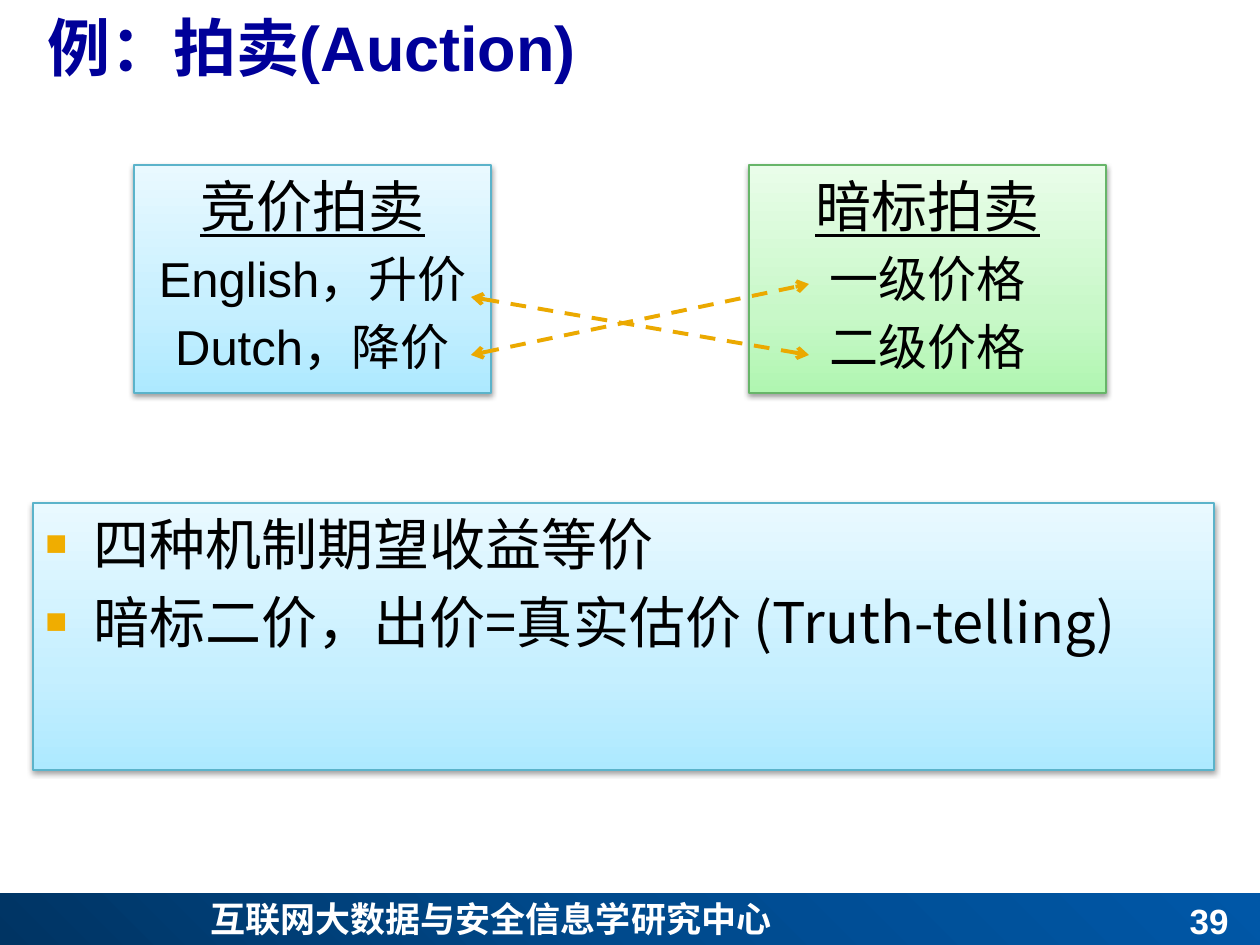
from lxml import etree
from pptx import Presentation
from pptx.dml.color import RGBColor
from pptx.enum.dml import MSO_LINE
from pptx.enum.shapes import MSO_CONNECTOR, MSO_SHAPE
from pptx.enum.text import MSO_ANCHOR, PP_ALIGN
from pptx.oxml import parse_xml
from pptx.oxml.ns import nsdecls, qn
from pptx.util import Emu, Pt

RECTANGLE = MSO_SHAPE.RECTANGLE
STRAIGHT = MSO_CONNECTOR.STRAIGHT
DASH = MSO_LINE.DASH
TOP, MIDDLE, BOTTOM = MSO_ANCHOR.TOP, MSO_ANCHOR.MIDDLE, MSO_ANCHOR.BOTTOM
LEFT, CENTER, RIGHT = PP_ALIGN.LEFT, PP_ALIGN.CENTER, PP_ALIGN.RIGHT
NAMESPACE = nsdecls("a")
CHINESE_FONT = "Noto Sans CJK SC"


def px(length):
    return Emu(round(length * 914400 / 126))


def color(hex_value):
    return RGBColor.from_string(hex_value)


presentation = Presentation()
presentation.slide_width, presentation.slide_height = px(1260), px(945)
slide = presentation.slides.add_slide(presentation.slide_layouts[5])
shapes = slide.shapes

title = shapes.title
title.left, title.top, title.width, title.height = px(35), px(-4), px(1225), px(100)
title.text_frame.text = "例：拍卖(Auction)"
title.text_frame.vertical_anchor = MIDDLE
title.text_frame.paragraphs[0].alignment = LEFT
title_font = title.text_frame.paragraphs[0].runs[0].font
title_font.name, title_font.size, title_font.bold = "Arial", Pt(36), True
title_font.color.rgb = color("000099")

upward = '<a:lin ang="16200000" scaled="0"/>'
from_corner = '<a:path path="circle"><a:fillToRect t="100000" r="100000"/></a:path>'
blue_stops = [(0, "ADE9FF"), (35, "C5EFFF"), (100, "E9F9FF")]
green_stops = [(0, "B0F6B1"), (35, "C8F8C8"), (100, "E9FDE9")]
footer_stops = [(0, "003463"), (50, "004A8D"), (100, "0057A7")]

panels = [
    (0, 893, 1260, 55, footer_stops, from_corner, None, CENTER, "Arial", []),
    (134, 165, 357, 228, blue_stops, upward, "5BB3CA", CENTER, "Arial",
     [("竞价拍卖", 32, True), ("English，升价", 28, False), ("Dutch，降价", 28, False)]),
    (749, 165, 357, 228, green_stops, upward, "67B569", CENTER, "Arial",
     [("暗标拍卖", 32, True), ("一级价格", 28, False), ("二级价格", 28, False)]),
    (33, 503, 1181, 267, blue_stops, upward, "5BB3CA", LEFT, CHINESE_FONT,
     [("四种机制期望收益等价", 32, False),
      ("暗标二价，出价=真实估价 (Truth-telling)", 32, False)]),
]
for left, top, width, height, stops, direction, border, alignment, font_name, lines in panels:
    panel = shapes.add_shape(RECTANGLE, px(left), px(top), px(width), px(height))
    panel.shadow.inherit = False
    properties = panel.element.spPr
    stop_xml = "".join(
        f'<a:gs pos="{position * 1000}"><a:srgbClr val="{value}"/></a:gs>'
        for position, value in stops)
    properties.find(qn("a:prstGeom")).addnext(parse_xml(
        f'<a:gradFill {NAMESPACE} rotWithShape="1"><a:gsLst>{stop_xml}</a:gsLst>{direction}</a:gradFill>'))
    if border is None:
        panel.line.fill.background()
    else:
        panel.line.color.rgb = color(border)
        panel.line.width = Pt(0.75)
        properties.find(qn("a:effectLst")).append(parse_xml(
            f'<a:outerShdw {NAMESPACE} blurRad="40000" dist="20000" dir="5400000" rotWithShape="0">'
            '<a:srgbClr val="000000"><a:alpha val="38000"/></a:srgbClr></a:outerShdw>'))
    text_frame = panel.text_frame
    text_frame.word_wrap = True
    text_frame.vertical_anchor = TOP
    text_frame.text = "\n".join(text for text, size, underline in lines)
    for paragraph, (text, size, underline) in zip(text_frame.paragraphs, lines):
        paragraph.alignment = alignment
        paragraph.space_before = Pt(size * 0.2)
        font = paragraph.runs[0].font
        font.name, font.size, font.underline = font_name, Pt(size), underline
        font.color.rgb = color("000000")
        if alignment == LEFT:
            paragraph_properties = paragraph._p.get_or_add_pPr()
            paragraph_properties.set("marL", str(px(48)))
            paragraph_properties.set("indent", str(px(-48)))
            for bullet in ('a:buClr {}><a:srgbClr val="F0AD00"/></a:buClr>',
                           'a:buSzPct {} val="65000"/>',
                           'a:buFont {} typeface="Arial"/>',
                           'a:buChar {} char="■"/>'):
                paragraph_properties.append(parse_xml("<" + bullet.format(NAMESPACE)))

for start_y, end_y in [(297, 355), (355, 284)]:
    arrow = shapes.add_connector(STRAIGHT, px(471), px(start_y), px(809), px(end_y))
    arrow.line.color.rgb = color("EBA900")
    arrow.line.width = Pt(2.25)
    arrow.line.dash_style = DASH
    for end in ("a:headEnd", "a:tailEnd"):
        etree.SubElement(arrow.line._ln, qn(end), type="arrow")
    etree.SubElement(arrow.element.spPr, qn("a:effectLst"))

footer_texts = [
    ("互联网大数据与安全信息学研究中心", 198, 891, 863, 55, LEFT, TOP, CHINESE_FONT),
    ("39", 948, 893, 293, 55, RIGHT, BOTTOM, "Arial"),
]
for text, left, top, width, height, alignment, anchor, font_name in footer_texts:
    text_box = shapes.add_textbox(px(left), px(top), px(width), px(height))
    text_frame = text_box.text_frame
    text_frame.word_wrap = True
    text_frame.vertical_anchor = anchor
    text_frame.text = text
    paragraph = text_frame.paragraphs[0]
    paragraph.alignment = alignment
    font = paragraph.runs[0].font
    font.name, font.size, font.bold = font_name, Pt(20), True
    font.color.rgb = color("FFFFFF")

presentation.save("out.pptx")
